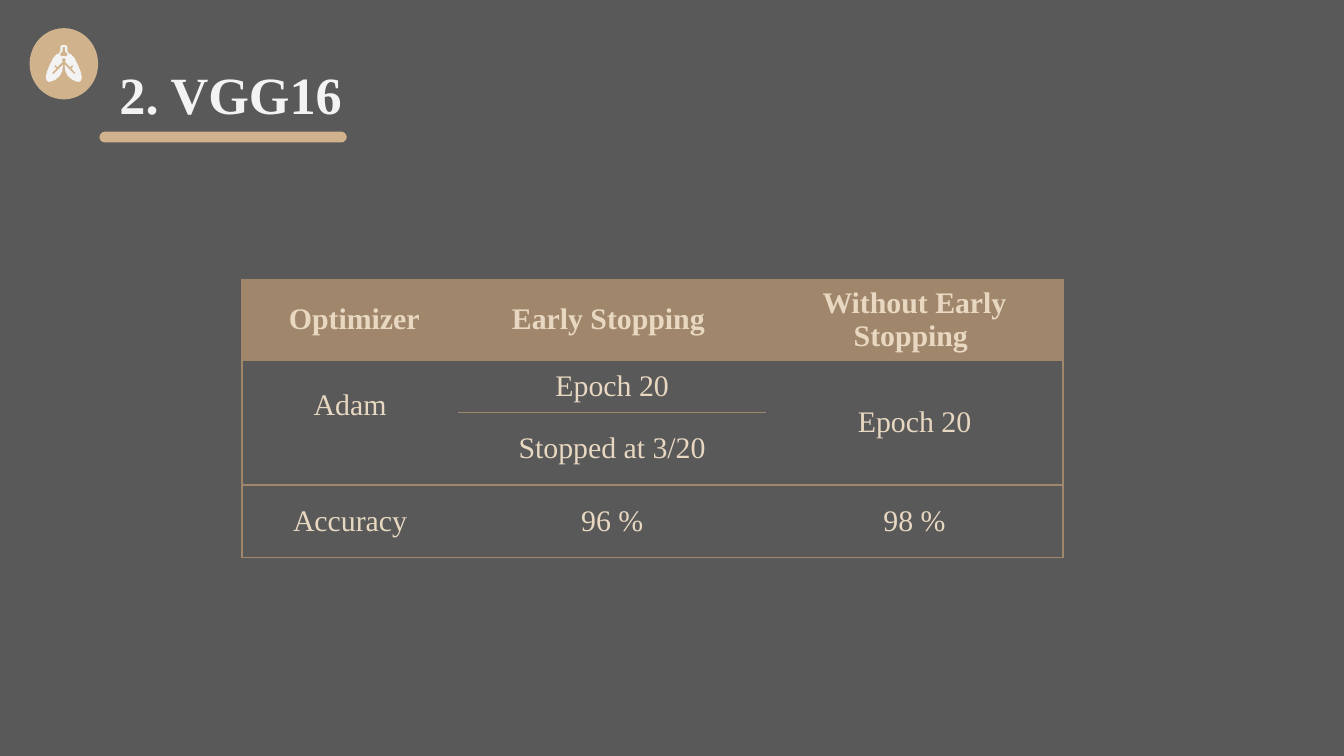
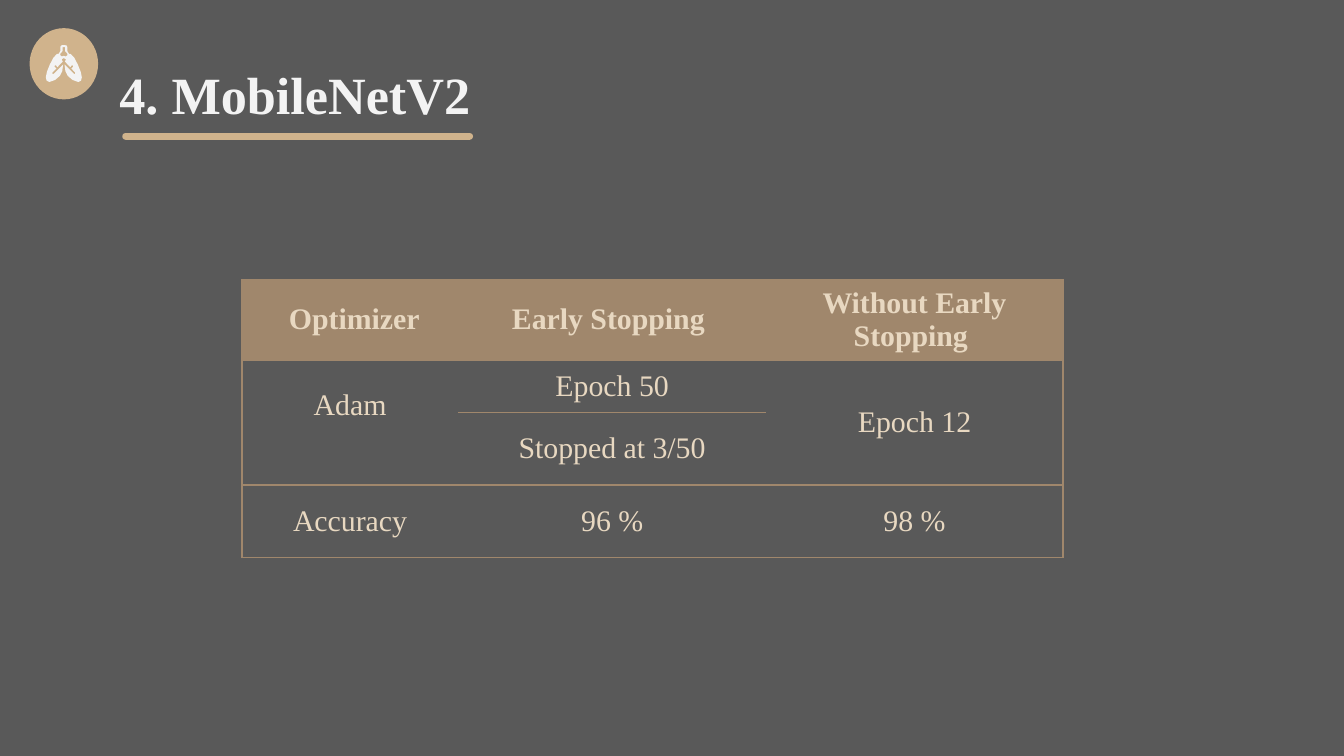
from dataclasses import dataclass

import pptx
import pptx.util
from lxml import etree
from pptx.dml.color import RGBColor
from pptx.enum.shapes import MSO_SHAPE
from pptx.enum.text import MSO_ANCHOR, PP_ALIGN
from pptx.oxml.ns import qn
from pptx.util import Inches

BACKGROUND = RGBColor(0x59, 0x59, 0x59)
TAN = RGBColor(0xD0, 0xB3, 0x8C)
BROWN = RGBColor(0xA0, 0x87, 0x6C)
CREAM = RGBColor(0xE8, 0xD8, 0xC1)
WHITE = RGBColor(0xF3, 0xF3, 0xF3)
FONT = "Times New Roman"

SLIDE_WIDTH = Inches(10)
SLIDE_HEIGHT = SLIDE_WIDTH * 9 // 16
COLUMN_WIDTHS = (1.61, 2.29, 2.21)
ROW_HEIGHTS = (0.6, 0.39, 0.54, 0.54)

LUNG_CENTER = 475
LUNG_HALF = (
    (0, 335), (20, 338), (26, 350), (26, 380), (38, 400), (52, 402),
    (78, 430), (104, 480), (126, 535), (134, 575), (128, 600), (108, 610),
    (65, 595), (30, 565), (12, 530), (5, 480), (76, 550), (85, 550),
    (85, 540), (56, 510), (70, 495), (67, 487), (58, 487), (48, 500),
    (8, 458), (16, 442), (0, 432),
)
WINDPIPE_HALF = (
    (0, 350), (9, 350), (9, 380), (25, 398), (28, 410), (15, 420), (0, 415),
)


@dataclass(frozen=True)
class Underline:
    left: float
    top: float
    width: float
    height: float


@dataclass(frozen=True)
class ModelResult:
    title: str
    title_width: float
    underline: Underline
    epochs: str
    stopped: str
    epochs_without: str
    accuracy: str
    accuracy_without: str

    def rows(self) -> tuple[tuple[str, ...], ...]:
        return (
            ("Optimizer ", "Early Stopping ", "Without Early Stopping "),
            ("Adam", self.epochs, self.epochs_without),
            ("", self.stopped, ""),
            ("Accuracy", self.accuracy, self.accuracy_without),
        )


RESULTS = (
    ModelResult("2. VGG16", 2.51, Underline(0.74, 0.98, 1.84, 0.08),
                "Epoch 20", "Stopped at 3/20", "Epoch 20", "96 %", "98 %"),
    ModelResult("4. MobileNetV2", 3.07, Underline(0.91, 0.99, 2.61, 0.05),
                "Epoch 50", "Stopped at 3/50", "Epoch 12", "96 %", "98 %"),
)


def paint(shape, color: RGBColor) -> None:
    shape.shadow.inherit = False
    shape.fill.solid()
    shape.fill.fore_color.rgb = color
    shape.line.fill.background()


def set_font(paragraph, size: int, color: RGBColor, bold: bool) -> None:
    paragraph.font.name = FONT
    paragraph.font.size = pptx.util.Pt(size)
    paragraph.font.color.rgb = color
    paragraph.font.bold = bold


def mirrored(half: tuple) -> list[tuple[int, int]]:
    right = [(LUNG_CENTER + x, y) for x, y in half]
    left = [(LUNG_CENTER - x, y) for x, y in reversed(half[1:-1])]
    return right + left


def add_lung_icon(slide) -> None:
    group = slide.shapes.add_group_shape()
    disc = group.shapes.add_shape(
        MSO_SHAPE.OVAL, Inches(0.22), Inches(0.21), Inches(0.51), Inches(0.53))
    paint(disc, TAN)
    lungs = mirrored(LUNG_HALF)
    windpipe = mirrored(WINDPIPE_HALF)
    builder = group.shapes.build_freeform(*lungs[0], scale=Inches(1) / 1000)
    builder.add_line_segments(lungs[1:])
    builder.move_to(*windpipe[0])
    builder.add_line_segments(windpipe[1:])
    paint(builder.convert_to_shape(), WHITE)


def add_title(slide, result: ModelResult) -> None:
    underline = result.underline
    bar = slide.shapes.add_shape(
        MSO_SHAPE.ROUNDED_RECTANGLE, Inches(underline.left), Inches(underline.top),
        Inches(underline.width), Inches(underline.height))
    bar.adjustments[0] = 0.5
    paint(bar, TAN)
    add_lung_icon(slide)
    box = slide.shapes.add_textbox(
        Inches(0.79), Inches(0.36), Inches(result.title_width), Inches(0.63))
    frame = box.text_frame
    frame.word_wrap = True
    frame.margin_left = frame.margin_right = Inches(0.1)
    frame.margin_top = frame.margin_bottom = Inches(0.1)
    frame.text = result.title
    set_font(frame.paragraphs[0], 28, WHITE, True)


def set_borders(cell, visible: set[str]) -> None:
    properties = cell._tc.get_or_add_tcPr()
    for position, side in enumerate(("L", "R", "T", "B")):
        line = etree.Element(qn(f"a:ln{side}"), w=str(pptx.util.Pt(0.75)))
        if side in visible:
            fill = etree.SubElement(line, qn("a:solidFill"))
            etree.SubElement(fill, qn("a:srgbClr"), val=str(BROWN))
        else:
            etree.SubElement(line, qn("a:noFill"))
        properties.insert(position, line)


def add_results_table(slide, result: ModelResult) -> None:
    rows = result.rows()
    last_column = len(COLUMN_WIDTHS) - 1
    table = slide.shapes.add_table(
        len(rows), len(COLUMN_WIDTHS), Inches(1.8), Inches(2.08),
        Inches(sum(COLUMN_WIDTHS)), Inches(sum(ROW_HEIGHTS))).table
    table.first_row = table.horz_banding = False
    for column, width in zip(table.columns, COLUMN_WIDTHS):
        column.width = Inches(width)
    for row, height in zip(table.rows, ROW_HEIGHTS):
        row.height = Inches(height)
    for row_index, texts in enumerate(rows):
        is_header = row_index == 0
        for column_index, text in enumerate(texts):
            cell = table.cell(row_index, column_index)
            cell.vertical_anchor = MSO_ANCHOR.MIDDLE
            cell.margin_top = cell.margin_bottom = Inches(0.03)
            cell.text = text
            paragraph = cell.text_frame.paragraphs[0]
            paragraph.alignment = PP_ALIGN.CENTER
            set_font(paragraph, 16, CREAM, is_header)
            if is_header:
                cell.fill.solid()
                cell.fill.fore_color.rgb = BROWN
            else:
                cell.fill.background()
            visible = {"T", "B"}
            if column_index == 0:
                visible.add("L")
            if column_index == last_column:
                visible.add("R")
            set_borders(cell, visible)
    for column_index in (0, last_column):
        table.cell(1, column_index).merge(table.cell(2, column_index))
    table.cell(1, 0).margin_bottom = Inches(0.28)
    optimizer = table.cell(0, 0).text_frame.paragraphs[0]
    optimizer._p.get_or_add_pPr().set("rtl", "1")


def add_result_slide(presentation, result: ModelResult) -> None:
    slide = presentation.slides.add_slide(presentation.slide_layouts[6])
    slide.background.fill.solid()
    slide.background.fill.fore_color.rgb = BACKGROUND
    add_title(slide, result)
    add_results_table(slide, result)


def main() -> None:
    presentation = pptx.Presentation()
    presentation.slide_width = SLIDE_WIDTH
    presentation.slide_height = SLIDE_HEIGHT
    for result in RESULTS:
        add_result_slide(presentation, result)
    presentation.save("out.pptx")


if __name__ == "__main__":
    main()
